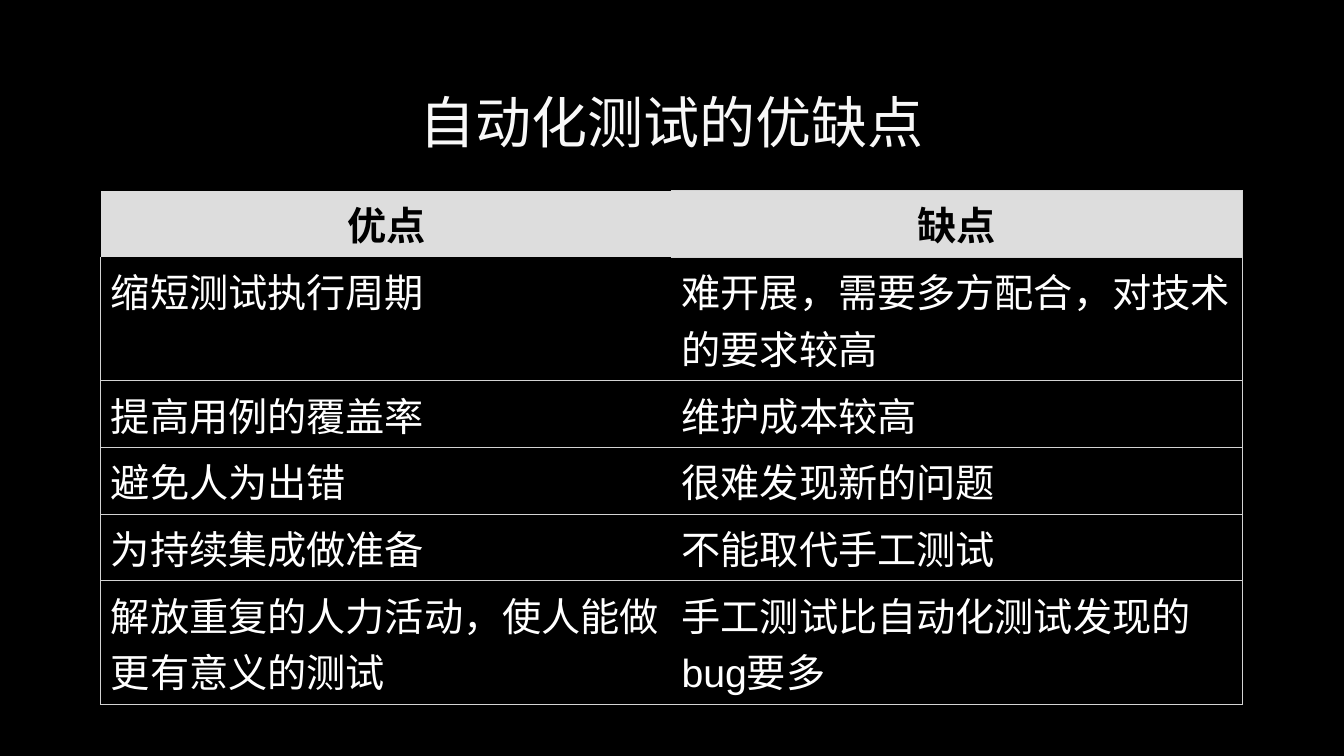
from lxml.etree import SubElement
from pptx import Presentation
from pptx.dml.color import RGBColor
from pptx.enum.text import MSO_ANCHOR, PP_ALIGN
from pptx.oxml.ns import qn
from pptx.util import Inches, Pt

COLORS = {
    "background": "000000",
    "title": "F8F8F8",
    "header_fill": "DDDDDD",
    "header_text": "000000",
    "body_text": "FFFFFF",
    "border": "D3D3D3",
}
FONT = "Arial"
NO_STYLE = "{2D5ABB26-0587-4C30-8999-92F81FD0307C}"
ROWS = [
    ("优点", "缺点"),
    ("缩短测试执行周期", "难开展，需要多方配合，对技术的要求较高"),
    ("提高用例的覆盖率", "维护成本较高"),
    ("避免人为出错", "很难发现新的问题"),
    ("为持续集成做准备", "不能取代手工测试"),
    ("解放重复的人力活动，使人能做更有意义的测试", "手工测试比自动化测试发现的bug要多"),
]
ROW_HEIGHTS = [0.59, 1.08, 0.59, 0.59, 0.59, 1.08]


def rgb(name):
    return RGBColor.from_string(COLORS[name])


def cell_sides(row, col):
    if row == 0:
        return "RT" if col else ""
    side = "R" if col else "L"
    if row % 2 == 0:
        return side
    return "LB" if (row, col) == (1, 0) else side + "TB"


class SlideBuilder:
    def __init__(self, prs):
        self.s = prs.slides.add_slide(prs.slide_layouts[5])
        fill = self.s.background.fill
        fill.solid()
        fill.fore_color.rgb = rgb("background")

    def format_text(self, tf, size, color, bold=False, align=None):
        for p in tf.paragraphs:
            p.alignment = align
            for r in p.runs:
                r.font.name = FONT
                r.font.size = Pt(size)
                r.font.bold = bold
                r.font.color.rgb = rgb(color)

    def title(self, text, left, top, width, height):
        sp = self.s.shapes.title
        sp.left, sp.top = Inches(left), Inches(top)
        sp.width, sp.height = Inches(width), Inches(height)
        tf = sp.text_frame
        tf.text = text
        tf.vertical_anchor = MSO_ANCHOR.MIDDLE
        self.format_text(tf, 40, "title", align=PP_ALIGN.CENTER)

    def borders(self, cell, sides):
        tc_pr = cell._tc.get_or_add_tcPr()
        for side in sides:
            ln = SubElement(tc_pr, qn("a:ln" + side), w=str(Pt(0.75)))
            fill = SubElement(ln, qn("a:solidFill"))
            SubElement(fill, qn("a:srgbClr"), val=COLORS["border"])

    def table(self, rows, heights, left, top, width):
        frame = self.s.shapes.add_table(
            len(rows), len(rows[0]), Inches(left), Inches(top),
            Inches(width), Inches(sum(heights)))
        table = frame.table
        frame._element.find(".//" + qn("a:tableStyleId")).text = NO_STYLE
        table.horz_banding = False
        for i, texts in enumerate(rows):
            table.rows[i].height = Inches(heights[i])
            for j, text in enumerate(texts):
                cell = table.cell(i, j)
                cell.text_frame.text = text
                self.borders(cell, cell_sides(i, j))
                if i == 0:
                    cell.fill.solid()
                    cell.fill.fore_color.rgb = rgb("header_fill")
                    self.format_text(cell.text_frame, 28, "header_text", True, PP_ALIGN.CENTER)
                else:
                    cell.fill.background()
                    self.format_text(cell.text_frame, 28, "body_text")


def main():
    prs = Presentation()
    prs.slide_width, prs.slide_height = Inches(13.33), Inches(7.5)
    slide = SlideBuilder(prs)
    slide.title("自动化测试的优缺点", 1, 0.67, 11.32, 1.06)
    slide.table(ROWS, ROW_HEIGHTS, 1, 1.89, 11.32)
    prs.save("out.pptx")


if __name__ == "__main__":
    main()
